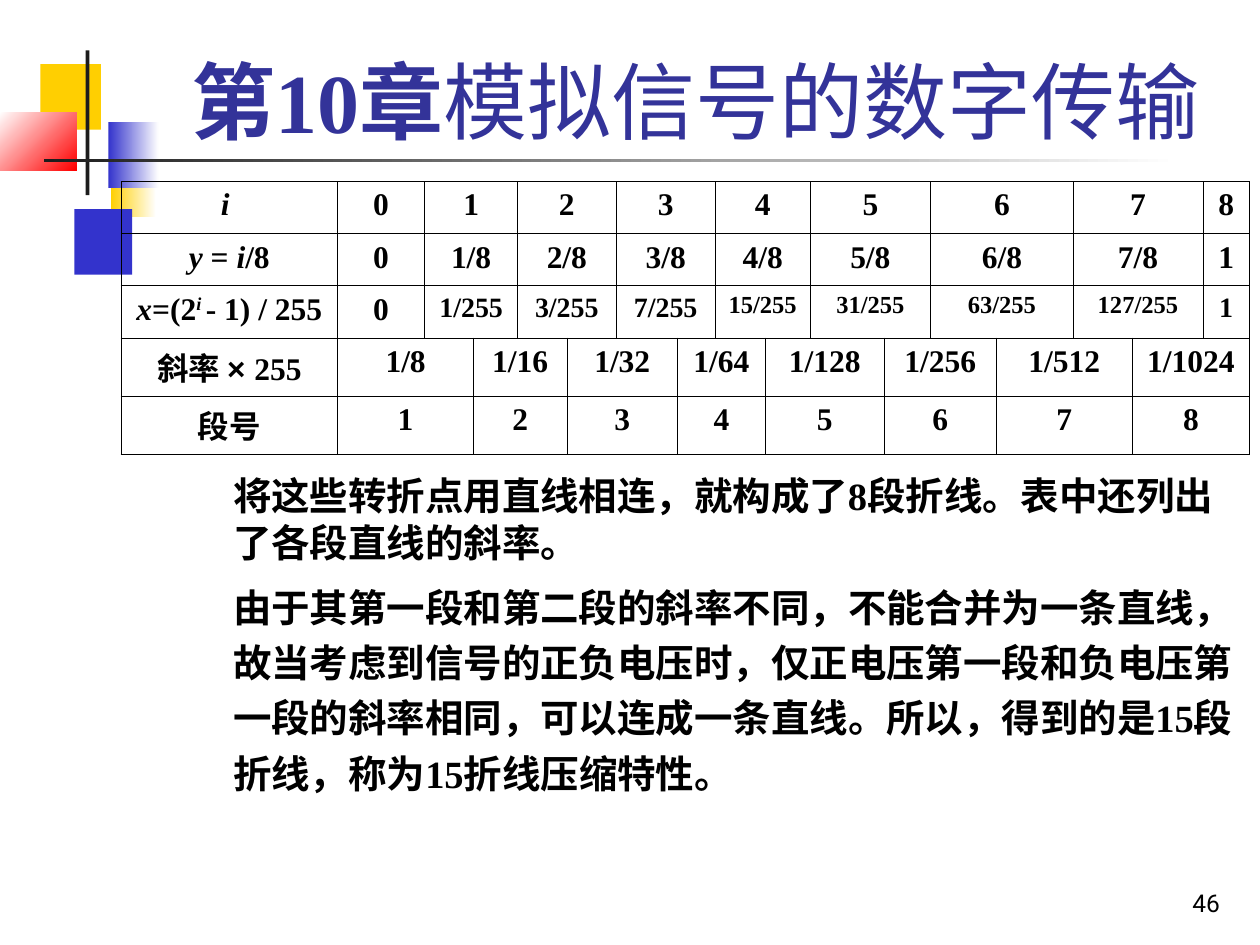
from dataclasses import dataclass, field
from itertools import accumulate
from typing import Any, Optional

import pptx
import pptx.dml.color
import pptx.enum.shapes
import pptx.enum.text
import pptx.oxml.ns
import pptx.util
from lxml import etree

Align = pptx.enum.text.PP_ALIGN
Anchor = pptx.enum.text.MSO_ANCHOR
SLIDE_WIDTH = pptx.util.Inches(10)
SLIDE_HEIGHT = pptx.util.Inches(7.5)


@dataclass(frozen=True)
class Theme:
    yellow: str = "FFCF01"
    blue: str = "3333CC"
    red: str = "FF0000"
    dark: str = "1C1C1C"
    white: str = "FFFFFF"
    title: str = "333399"
    text: str = "000000"
    serif: str = "Times New Roman"
    sans: str = "Arial"
    number_font: str = "Roboto"
    title_size: int = 48
    body_size: int = 22
    cell_size: int = 18
    ratio_size: int = 16
    long_ratio_size: int = 14
    number_size: int = 14
    border_width: float = 0.45


THEME = Theme()


@dataclass(frozen=True)
class Box:
    """A rectangle in percent of the slide's width and height."""
    left: float
    top: float
    width: float
    height: float


@dataclass(frozen=True)
class Block:
    box: Box
    color: str
    end_color: Optional[str] = None
    angle: int = 0


@dataclass(frozen=True)
class Run:
    text: str
    format: dict[str, Any] = field(default_factory=dict)
    superscript: bool = False


BLOCKS = [
    Block(Box(8.8, 16, 3.6, 6.93), THEME.yellow, THEME.white),
    Block(Box(5.9, 22.13, 4.6, 6.93), THEME.blue),
    Block(Box(3.2, 6.8, 4.8, 6.93), THEME.yellow),
    Block(Box(8.6, 12.93, 4, 6.93), THEME.blue, THEME.white),
    Block(Box(0, 11.87, 6.1, 6.13), THEME.white, THEME.red, 315),
    Block(Box(6.8, 5.33, 0.3, 15.33), THEME.dark),
    Block(Box(3.5, 16.8, 90, 0.4), THEME.dark, THEME.white),
]
TITLE_BOX = Box(12.6, 3.07, 85.2, 13.47)
BODY_BOX = Box(0, 49.33, 100, 50.67)
NUMBER_BOX = Box(77, 91.07, 20.8, 6.67)
TABLE_BOX = Box(9.6, 19.2, 89.6, 27.6)

COLUMN_SHARES = [17.2, 6.9, 3.9, 3.5, 3.9, 3.9, 4.9, 3, 3.95, 3.55, 5.9, 3.7,
                 5.2, 6.1, 4.7, 5.6, 3.7]
POINT_SPANS = [1, 1] + [2] * 7 + [1]
SEGMENT_SPANS = [1] + [2] * 8

ITALIC = {"italic": True}
HEADINGS = [
    [Run("i ", ITALIC)],
    [Run("y", ITALIC), Run(" = "), Run("i", ITALIC), Run("/8")],
    [Run("x", ITALIC), Run("=(2"), Run("i ", ITALIC, True), Run("- 1) / 255")],
    [Run("斜率 "), Run("× ", {"name": THEME.sans}), Run("255")],
    [Run("段号")],
]
BODY = [
    ("将这些转折点用直线相连，就构成了8段折线。表中还列出了各段直线的斜率。",
     {"space_before": pptx.util.Pt(0), "line_spacing": 1.0}),
    ("由于其第一段和第二段的斜率不同，不能合并为一条直线，故当考虑到信号的正负电压时，"
     "仅正电压第一段和负电压第一段的斜率相同，可以连成一条直线。"
     "所以，得到的是15段折线，称为15折线压缩特性。",
     {"space_before": pptx.util.Pt(5.5), "line_spacing": 1.2}),
]


def across(share: float) -> int:
    return round(SLIDE_WIDTH * share / 100)


def down(share: float) -> int:
    return round(SLIDE_HEIGHT * share / 100)


def edges(box: Box) -> tuple[int, int, int, int]:
    return across(box.left), down(box.top), across(box.width), down(box.height)


def set_all(target: Any, values: dict[str, Any]) -> None:
    for name, value in values.items():
        setattr(target, name, value)


def place(shape: Any, box: Box) -> None:
    set_all(shape, dict(zip(("left", "top", "width", "height"), edges(box))))


def rgb(color: str) -> pptx.dml.color.RGBColor:
    return pptx.dml.color.RGBColor.from_string(color)


def write(paragraph: Any, runs: list[Run], size: float, font: str = THEME.serif,
          color: str = THEME.text, bold: bool = True) -> None:
    base = {"size": pptx.util.Pt(size), "name": font, "bold": bold, "italic": False}
    for item in runs:
        run = paragraph.add_run()
        run.text = item.text
        set_all(run.font, base | item.format)
        run.font.color.rgb = rgb(color)
        if item.superscript:
            run.font._element.set("baseline", "30000")


def draw_block(slide: Any, block: Block) -> None:
    shape = slide.shapes.add_shape(pptx.enum.shapes.MSO_SHAPE.RECTANGLE, *edges(block.box))
    shape.shadow.inherit = False
    shape.line.fill.background()
    if block.end_color is None:
        shape.fill.solid()
        shape.fill.fore_color.rgb = rgb(block.color)
        return
    shape.fill.gradient()
    shape.fill.gradient_angle = block.angle
    for position, (stop, color) in enumerate(
            zip(shape.fill.gradient_stops, (block.color, block.end_color))):
        stop.position = position
        stop.color.rgb = rgb(color)


def draw_number(slide: Any) -> None:
    frame = slide.shapes.add_textbox(*edges(NUMBER_BOX)).text_frame
    set_all(frame, {"word_wrap": True, "vertical_anchor": Anchor.BOTTOM})
    frame.paragraphs[0].alignment = Align.RIGHT
    write(frame.paragraphs[0], [Run("46")], THEME.number_size, THEME.number_font, bold=False)


def fill_title(title: Any) -> None:
    place(title, TITLE_BOX)
    set_all(title.text_frame, {"vertical_anchor": Anchor.BOTTOM,
                               "auto_size": pptx.enum.text.MSO_AUTO_SIZE.NONE})
    paragraph = title.text_frame.paragraphs[0]
    paragraph.alignment = Align.CENTER
    write(paragraph, [Run("第10章"), Run("模拟信号的数字传输", {"bold": False})],
          THEME.title_size, color=THEME.title)


def fill_body(body: Any) -> None:
    place(body, BODY_BOX)
    frame = body.text_frame
    frame.auto_size = pptx.enum.text.MSO_AUTO_SIZE.NONE
    for index, (text, spacing) in enumerate(BODY):
        paragraph = frame.add_paragraph() if index else frame.paragraphs[0]
        set_all(paragraph, {"level": 3, "alignment": Align.LEFT} | spacing)
        properties = paragraph._p.get_or_add_pPr()
        properties.set("marL", str(across(17.5)))
        properties.set("indent", "0")
        etree.SubElement(properties, pptx.oxml.ns.qn("a:buNone"))
        write(paragraph, [Run(text)], THEME.body_size)


def outline_cell(cell: Any) -> None:
    properties = cell._tc.get_or_add_tcPr()
    for side in ("a:lnL", "a:lnR", "a:lnT", "a:lnB"):
        line = etree.SubElement(properties, pptx.oxml.ns.qn(side),
                                w=str(pptx.util.Pt(THEME.border_width)))
        fill = etree.SubElement(line, pptx.oxml.ns.qn("a:solidFill"))
        etree.SubElement(fill, pptx.oxml.ns.qn("a:srgbClr"), val=THEME.text)
    cell.fill.background()


def table_values() -> list[list[str]]:
    points, segments = range(9), range(1, 9)
    inner = range(1, 8)
    return [
        [str(i) for i in points],
        ["0", *(f"{i}/8" for i in inner), "1"],
        ["0", *(f"{2 ** i - 1}/255" for i in inner), "1"],
        [f"1/{2 ** (segment + 2)}" for segment in segments],
        [str(segment) for segment in segments],
    ]


def value_size(row: int, text: str) -> int:
    if row != 2 or text == "0":
        return THEME.cell_size
    return THEME.long_ratio_size if len(text) > 5 else THEME.ratio_size


def draw_table(slide: Any) -> None:
    values = table_values()
    table = slide.shapes.add_table(len(values), len(COLUMN_SHARES), *edges(TABLE_BOX)).table
    set_all(table, {"first_row": False, "horz_banding": False})
    for column, share in zip(table.columns, COLUMN_SHARES):
        column.width = across(share)
    for cell in table.iter_cells():
        outline_cell(cell)
    for row, (heading, texts) in enumerate(zip(HEADINGS, values)):
        spans = POINT_SPANS if row < 3 else SEGMENT_SPANS
        starts = accumulate(spans[:-1], initial=0)
        contents = [(heading, THEME.cell_size)]
        contents += [([Run(text)], value_size(row, text)) for text in texts]
        for start, span, (runs, size) in zip(starts, spans, contents):
            cell = table.cell(row, start)
            if span > 1:
                cell.merge(table.cell(row, start + span - 1))
            paragraph = cell.text_frame.paragraphs[0]
            paragraph.alignment = Align.CENTER
            write(paragraph, runs, size)


def main() -> None:
    presentation = pptx.Presentation()
    set_all(presentation, {"slide_width": SLIDE_WIDTH, "slide_height": SLIDE_HEIGHT})
    slide = presentation.slides.add_slide(presentation.slide_layouts[1])
    title, body = slide.placeholders
    for block in BLOCKS:
        draw_block(slide, block)
    draw_number(slide)
    for placeholder in (title, body):
        placeholder.element.getparent().append(placeholder.element)
    fill_title(title)
    fill_body(body)
    draw_table(slide)
    presentation.save("out.pptx")


if __name__ == "__main__":
    main()
